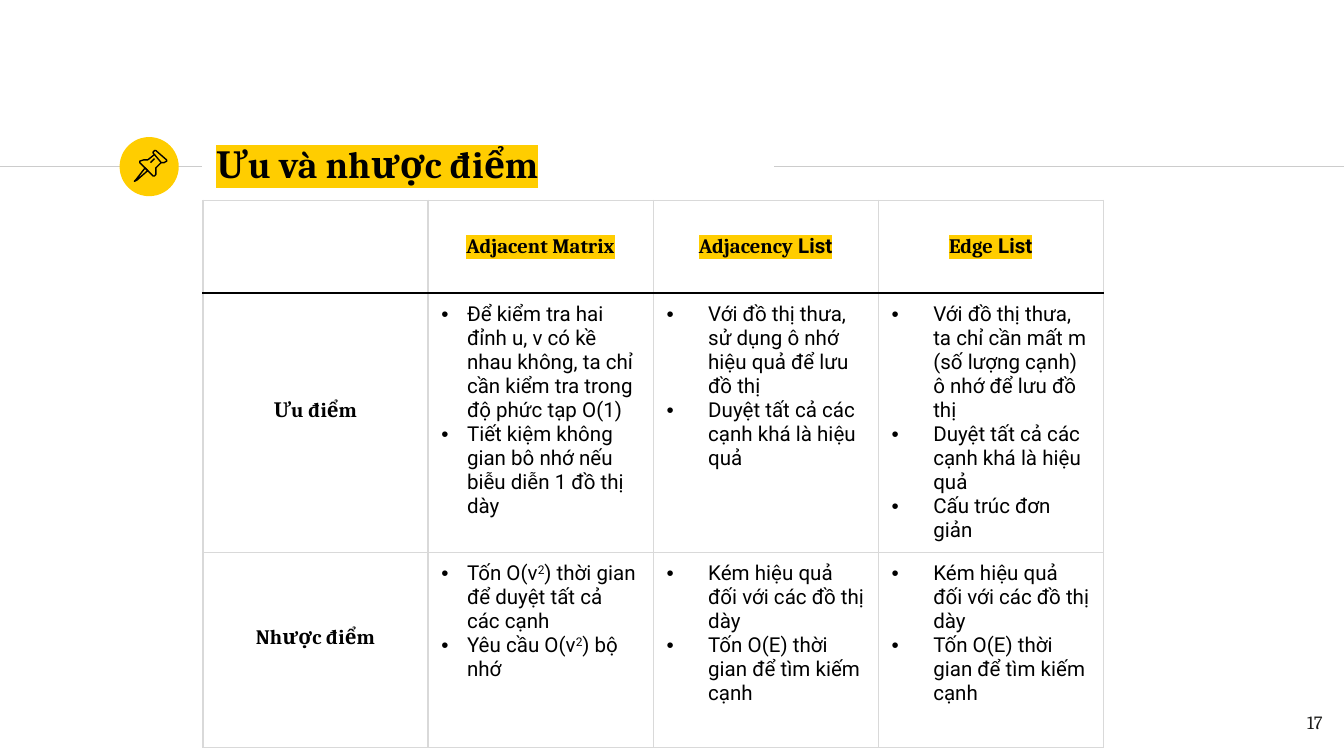
from dataclasses import dataclass

from lxml import etree
from pptx import Presentation
from pptx.dml.color import RGBColor
from pptx.enum.shapes import MSO_CONNECTOR as Connector, MSO_SHAPE as Shape
from pptx.enum.text import MSO_ANCHOR as Anchor, MSO_AUTO_SIZE as AutoSize, PP_ALIGN as Align
from pptx.oxml.ns import qn
from pptx.util import Inches, Pt


@dataclass(frozen=True)
class Theme:
    serif: str = "Cambria"
    sans: str = "Roboto"
    black: str = "000000"
    accent: str = "FFCD00"
    rule: str = "CCCCCC"
    grid: str = "D9D9D9"
    page: str = "1D1D1B"
    title_size: int = 20
    table_size: int = 11
    page_size: int = 10
    line_width: float = 0.75


def color_element(parent, tag, color):
    element = etree.SubElement(parent, qn(tag))
    etree.SubElement(element, qn("a:srgbClr"), val=color)
    return element


class SlideBuilder:
    def __init__(self, slide, theme):
        self.slide = slide
        self.theme = theme

    def run(self, paragraph, text, size, font, color=None, bold=False,
            highlight=False, superscript=False):
        run = paragraph.add_run()
        run.text = text
        run.font.size = Pt(size)
        run.font.name = font
        run.font.bold = bold
        run.font.color.rgb = RGBColor.from_string(color or self.theme.black)
        properties = run._r.get_or_add_rPr()
        if highlight:
            mark = color_element(properties, "a:highlight", self.theme.accent)
            properties.find(qn("a:solidFill")).addnext(mark)
        if superscript:
            properties.set("baseline", "30000")

    def frame(self, text_frame, anchor):
        text_frame.word_wrap = True
        text_frame.auto_size = AutoSize.NONE
        text_frame.vertical_anchor = anchor
        for side in ("left", "top", "right", "bottom"):
            setattr(text_frame, f"margin_{side}", Inches(0.1))
        return text_frame.paragraphs[0]

    def title(self, text, left, top, width, height):
        shape = self.slide.shapes.title
        shape.left, shape.top = Inches(left), Inches(top)
        shape.width, shape.height = Inches(width), Inches(height)
        paragraph = self.frame(shape.text_frame, Anchor.MIDDLE)
        paragraph.alignment = Align.LEFT
        self.run(paragraph, text, self.theme.title_size, self.theme.serif,
                 bold=True, highlight=True)

    def page_number(self, text, left, top, width, height):
        box = self.slide.shapes.add_textbox(
            Inches(left), Inches(top), Inches(width), Inches(height))
        paragraph = self.frame(box.text_frame, Anchor.TOP)
        paragraph.alignment = Align.RIGHT
        self.run(paragraph, text, self.theme.page_size, self.theme.serif, self.theme.page)

    def rule(self, start, end, y):
        line = self.slide.shapes.add_connector(
            Connector.STRAIGHT, Inches(start), Inches(y), Inches(end), Inches(y))
        line.line.color.rgb = RGBColor.from_string(self.theme.rule)
        line.line.width = Pt(self.theme.line_width)
        etree.SubElement(line._element.spPr, qn("a:effectLst"))

    def circle(self, left, top, size):
        shape = self.slide.shapes.add_shape(
            Shape.OVAL, Inches(left), Inches(top), Inches(size), Inches(size))
        shape.shadow.inherit = False
        shape.fill.solid()
        shape.fill.fore_color.rgb = RGBColor.from_string(self.theme.accent)
        shape.line.fill.background()

    def outlines(self, outlines):
        """Draw grouped outlines whose points are in hundredths of an inch."""
        group = self.slide.shapes.add_group_shape()
        for points, closed in outlines:
            builder = group.shapes.build_freeform(*points[0], scale=Inches(0.01))
            builder.add_line_segments(points[1:], close=closed)
            shape = builder.convert_to_shape()
            shape.shadow.inherit = False
            shape.fill.background()
            shape.line.color.rgb = RGBColor.from_string(self.theme.black)
            shape.line.width = Pt(self.theme.line_width)

    def table(self, left, top, width, row_heights, column_count):
        frame = self.slide.shapes.add_table(
            len(row_heights), column_count, Inches(left), Inches(top),
            Inches(width), Inches(sum(row_heights)))
        table = frame.table
        table.first_row = table.horz_banding = False
        for index, height in enumerate(row_heights):
            table.rows[index].height = Inches(height)
            for cell in table.rows[index].cells:
                cell.margin_left = cell.margin_right = Inches(0.1)
                cell.margin_top = cell.margin_bottom = Inches(0.07)
                self.borders(cell, {0: "B", 1: "T"}.get(index))
                cell.fill.background()
        return table

    def borders(self, cell, dark_side):
        properties = cell._tc.get_or_add_tcPr()
        for side in "LRTB":
            line = etree.SubElement(properties, qn(f"a:ln{side}"),
                                    w=str(Pt(self.theme.line_width)))
            color = self.theme.black if side == dark_side else self.theme.grid
            color_element(line, "a:solidFill", color)

    def heading(self, cell, parts, highlight=False):
        cell.vertical_anchor = Anchor.MIDDLE
        paragraph = cell.text_frame.paragraphs[0]
        paragraph.alignment = Align.CENTER
        for text, font in parts:
            self.run(paragraph, text, self.theme.table_size, font,
                     bold=True, highlight=highlight)

    def bullets(self, cell, items, indent):
        for index, item in enumerate(items):
            frame = cell.text_frame
            paragraph = frame.add_paragraph() if index else frame.paragraphs[0]
            properties = paragraph._p.get_or_add_pPr()
            properties.set("marL", str(Inches(indent)))
            properties.set("indent", str(-Inches(indent)))
            color_element(properties, "a:buClr", self.theme.black)
            etree.SubElement(properties, qn("a:buFont"), typeface="Arial")
            etree.SubElement(properties, qn("a:buChar"), char="•")
            # Every second part of an item is an exponent
            for position, text in enumerate(item):
                self.run(paragraph, text, self.theme.table_size, self.theme.sans,
                         superscript=position % 2 == 1)


THEME = Theme()
HEADINGS = [
    [("Adjacent Matrix", THEME.serif)],
    [("Adjacency", THEME.serif), (" List", THEME.sans)],
    [("Edge", THEME.serif), (" List", THEME.sans)],
]
FAST_TRAVERSAL = ("Duyệt tất cả các cạnh khá là hiệu quả",)
LIST_DRAWBACKS = [("Kém hiệu quả đối với các đồ thị dày",),
                  ("Tốn O(E) thời gian để tìm kiếm cạnh",)]
ROWS = [
    ("Ưu điểm", [
        [("Để kiểm tra hai đỉnh u, v có kề nhau không, ta chỉ cần kiểm tra "
          "trong độ phức tạp O(1)",),
         ("Tiết kiệm không gian bô nhớ nếu biễu diễn 1 đồ thị dày",)],
        [("Với đồ thị thưa, sử dụng ô nhớ hiệu quả để lưu đồ thị",), FAST_TRAVERSAL],
        [("Với đồ thị thưa, ta chỉ cần mất m (số lượng cạnh) ô nhớ để lưu đồ thị",),
         FAST_TRAVERSAL, ("Cấu trúc đơn giản",)],
    ]),
    ("Nhược điểm", [
        [("Tốn O(v", "2", ") thời gian để duyệt tất cả các cạnh"),
         ("Yêu cầu O(v", "2", ") bộ nhớ")],
        LIST_DRAWBACKS,
        LIST_DRAWBACKS,
    ]),
]
INDENTS = [0.19, 0.31, 0.31]
PUSHPIN = [
    # Needle, head, body and highlight
    ([(108, 125), (101, 134), (100, 135), (102, 134), (110, 127)], True),
    ([(115, 115), (120, 121), (122, 121), (124, 120), (124, 119),
      (116, 112), (115, 112), (114, 113), (114, 114)], True),
    ([(115, 115), (110, 119), (107, 119), (104, 120), (104, 121), (114, 131),
      (115, 131), (116, 130), (116, 125), (120, 121)], False),
    ([(112, 121), (115, 118)], False),
]


def main():
    presentation = Presentation()
    presentation.slide_width = Inches(10)
    presentation.slide_height = Inches(10 * 9 / 16)
    slide = presentation.slides.add_slide(presentation.slide_layouts[5])
    builder = SlideBuilder(slide, THEME)

    # Title band
    builder.rule(0, 1.5, 1.24)
    builder.circle(0.89, 1.02, 0.44)
    builder.rule(5.76, 10, 1.24)
    builder.title("Ưu và nhược điểm", 1.51, 0.98, 4.24, 0.48)

    # Comparison table
    table = builder.table(1.51, 1.49, 6.7, [0.69, 1.93, 1.45], 4)
    for column, parts in enumerate(HEADINGS, 1):
        builder.heading(table.cell(0, column), parts, highlight=True)
    for row, (label, cells) in enumerate(ROWS, 1):
        label_cell = table.cell(row, 0)
        builder.heading(label_cell, [(label, THEME.serif)])
        label_cell.margin_bottom = Inches(0.25)  # lifts the label above the middle
        for column, (items, indent) in enumerate(zip(cells, INDENTS), 1):
            builder.bullets(table.cell(row, column), items, indent)

    # Icon and page number
    builder.outlines(PUSHPIN)
    builder.page_number("17", 9.34, 5.19, 0.6, 0.43)
    presentation.save("out.pptx")


if __name__ == "__main__":
    main()
